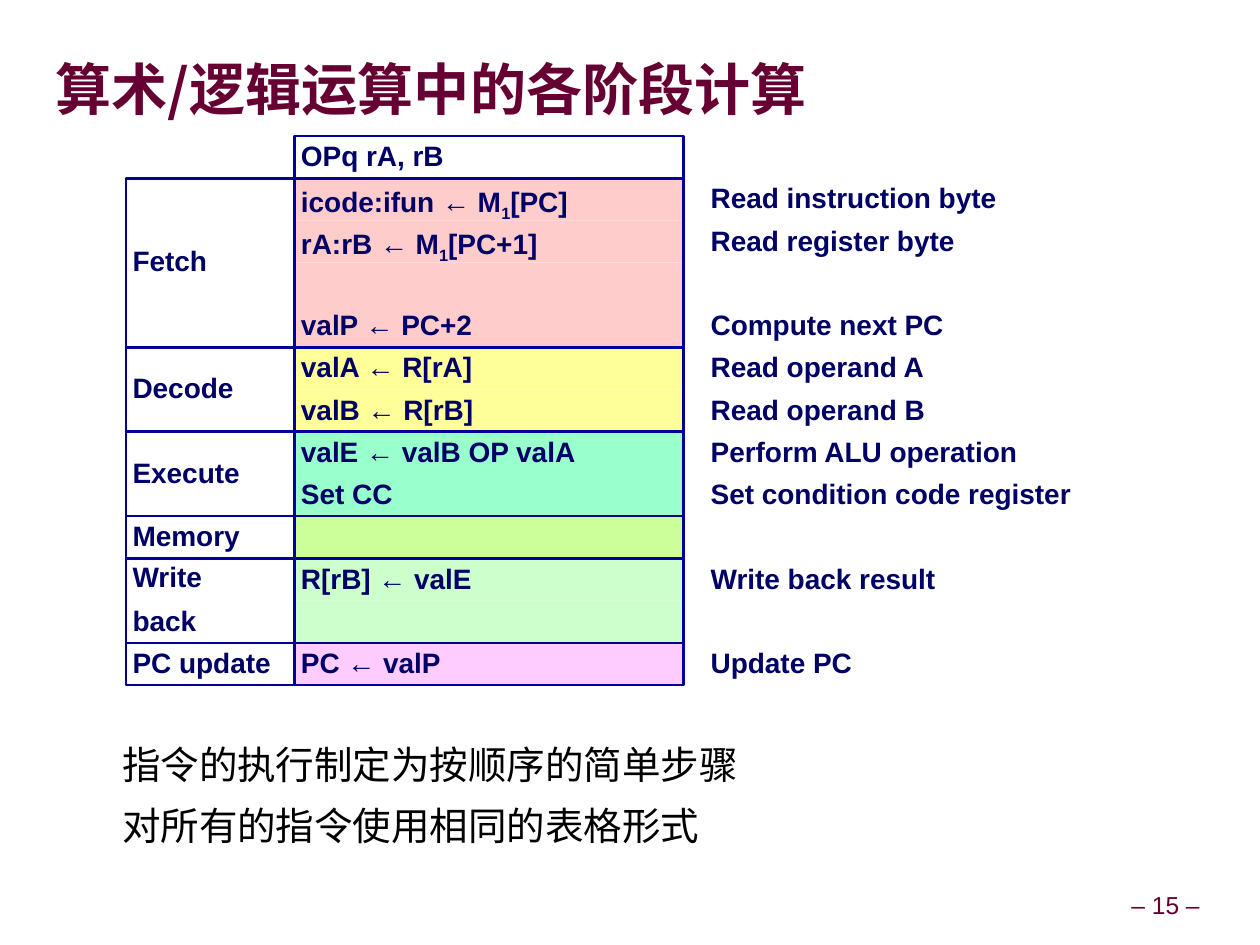
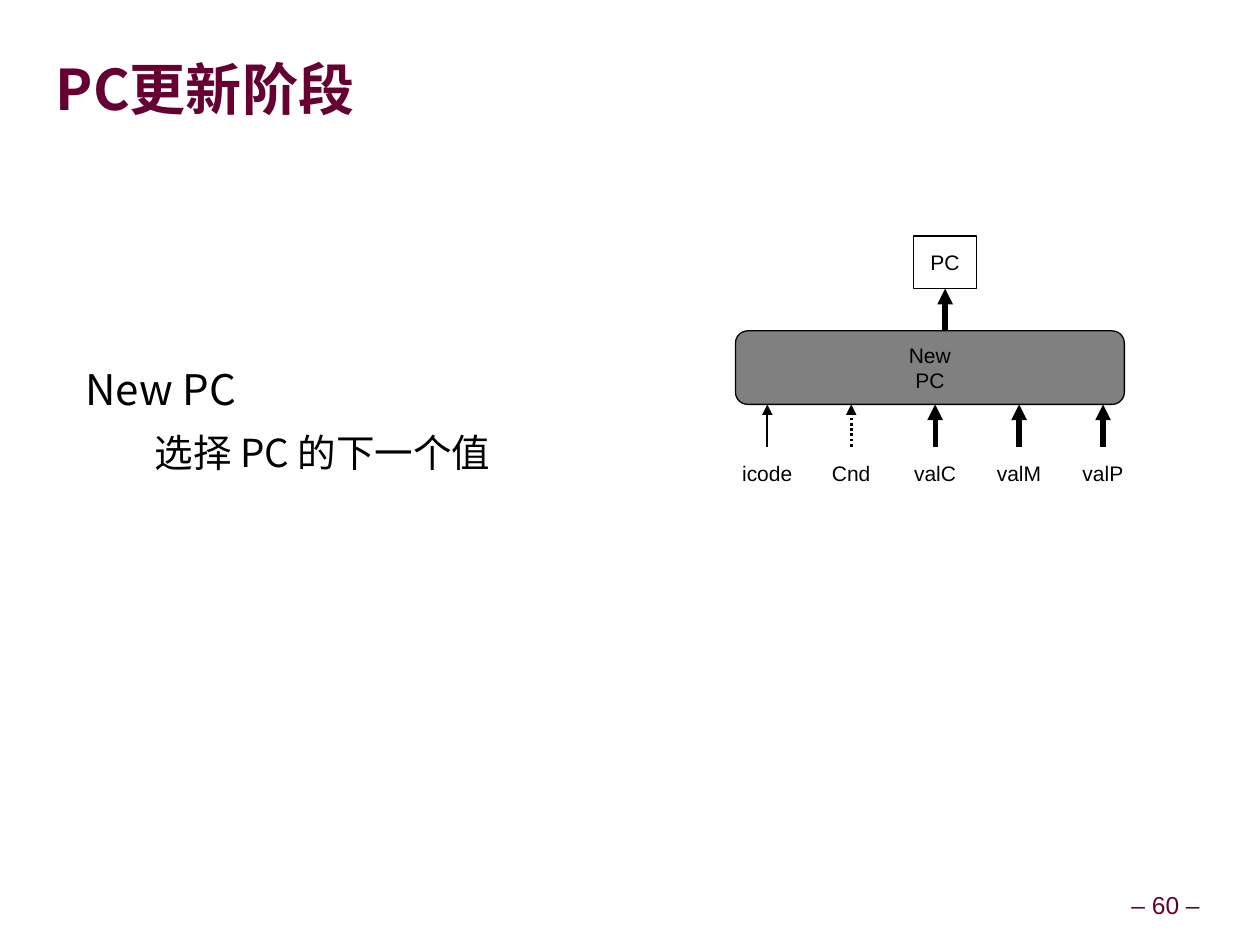
from lxml.etree import SubElement
from pptx import Presentation
from pptx.dml.color import RGBColor
from pptx.enum.dml import MSO_LINE
from pptx.enum.shapes import MSO_CONNECTOR, MSO_SHAPE
from pptx.enum.text import MSO_ANCHOR, MSO_AUTO_SIZE, PP_ALIGN
from pptx.oxml.ns import qn
from pptx.util import Cm, Pt

MAROON = RGBColor(0x66, 0x00, 0x33)
NAVY = RGBColor(0x00, 0x00, 0x66)
BLUE = RGBColor(0x00, 0x00, 0x99)
BLACK = RGBColor(0x00, 0x00, 0x00)
WHITE = RGBColor(0xFF, 0xFF, 0xFF)
GRAY = RGBColor(0x80, 0x80, 0x80)
PINK = RGBColor(0xFF, 0xCC, 0xCC)
YELLOW = RGBColor(0xFF, 0xFF, 0x99)
AQUA = RGBColor(0x99, 0xFF, 0xCC)
LIME = RGBColor(0xCC, 0xFF, 0x99)
MINT = RGBColor(0xCC, 0xFF, 0xCC)
LILAC = RGBColor(0xFF, 0xCC, 0xFF)

LATIN, CJK = "Arial", "Noto Sans CJK SC"

INSTRUCTION = "OPq rA, rB"
# Odd-numbered parts of a step are subscripts.
STAGES = [
    (["Fetch"], PINK, [
        (("icode:ifun ← M", "1", "[PC]"), "Read instruction byte"),
        (("rA:rB ← M", "1", "[PC+1]"), "Read register byte"),
        ((), ""),
        (("valP ← PC+2",), "Compute next PC")]),
    (["Decode"], YELLOW, [
        (("valA ← R[rA]",), "Read operand A"),
        (("valB ← R[rB]",), "Read operand B")]),
    (["Execute"], AQUA, [
        (("valE ← valB OP valA",), "Perform ALU operation"),
        (("Set CC",), "Set condition code register")]),
    (["Memory"], LIME, [((), "")]),
    (["Write", "back"], MINT, [
        (("R[rB] ← valE",), "Write back result"),
        ((), "")]),
    (["PC update"], LILAC, [(("PC ← valP",), "Update PC")]),
]
# Text, size, left indent in cm.
STAGE_NOTES = [("指令的执行制定为按顺序的简单步骤", 22, 1.4),
               ("对所有的指令使用相同的表格形式", 22, 1.4)]
PC_NOTES = [("New PC", 24, 0), ("选择 PC 的下一个值", 22, 1.4)]
# Signal, line width, dash.
SIGNALS = [("icode", 1, None), ("Cnd", 1.5, MSO_LINE.ROUND_DOT),
           ("valC", 3, None), ("valM", 3, None), ("valP", 3, None)]


def add_run(p, text, size, color, font=LATIN, bold=False, subscript=False):
    r = p.add_run()
    r.text = text
    r.font.size, r.font.bold, r.font.name = Pt(size), bold, font
    r.font.color.rgb = color
    rPr = r.font._element
    SubElement(rPr, qn("a:ea")).set("typeface", font)
    if subscript:
        rPr.set("baseline", "-25000")


def set_frame(tf, inset_x, inset_y, anchor=MSO_ANCHOR.TOP, wrap=True):
    tf.margin_left = tf.margin_right = Cm(inset_x)
    tf.margin_top = tf.margin_bottom = Cm(inset_y)
    tf.vertical_anchor, tf.word_wrap = anchor, wrap


def paragraphs(tf, count):
    return [tf.paragraphs[0]] + [tf.add_paragraph() for _ in range(count - 1)]


def add_box(shapes, kind, x, y, w, h, fill=None, line=None, width=1.5):
    sp = shapes.add_shape(kind, Cm(x), Cm(y), Cm(w), Cm(h))
    sp.shadow.inherit = False
    if fill is None:
        sp.fill.background()
    else:
        sp.fill.solid()
        sp.fill.fore_color.rgb = fill
    if line is None:
        sp.line.fill.background()
    else:
        sp.line.color.rgb, sp.line.width = line, Pt(width)
    return sp


def write_cell(sp, lines, anchor=MSO_ANCHOR.TOP):
    tf = sp.text_frame
    set_frame(tf, 0.13, 0.13, anchor)
    for i, (p, parts) in enumerate(zip(paragraphs(tf, len(lines)), lines)):
        p.alignment, p.line_spacing = PP_ALIGN.LEFT, 0.9
        if i:
            p.space_before = Pt(8)
        for j, part in enumerate(parts):
            add_run(p, part, 16, NAVY, bold=True, subscript=j % 2 == 1)


def write_label(sp, lines):
    tf = sp.text_frame
    set_frame(tf, 0.25, 0.13, MSO_ANCHOR.MIDDLE, False)
    for p, text in zip(paragraphs(tf, len(lines)), lines):
        p.alignment = PP_ALIGN.CENTER
        add_run(p, text, 12, BLACK)


def add_arrow(shapes, x, y1, y2, width, dash=None):
    c = shapes.add_connector(MSO_CONNECTOR.STRAIGHT, Cm(x), Cm(y1), Cm(x), Cm(y2))
    c.line.color.rgb, c.line.width = BLACK, Pt(width)
    if dash is not None:
        c.line.dash_style = dash
    spPr = c._element.spPr
    SubElement(spPr.find(qn("a:ln")), qn("a:tailEnd")).set("type", "triangle")
    SubElement(spPr, qn("a:effectLst"))


def add_notes(s, notes, x, y, w, h):
    tf = s.shapes.add_textbox(Cm(x), Cm(y), Cm(w), Cm(h)).text_frame
    set_frame(tf, 0.25, 0.13)
    for p, (text, size, indent) in zip(paragraphs(tf, len(notes)), notes):
        p.line_spacing, p.space_before = 1.2, Pt(3)
        p._p.get_or_add_pPr().set("marL", str(Cm(indent)))
        add_run(p, text, size, BLACK, CJK)


def add_page(title, number):
    s = prs.slides.add_slide(prs.slide_layouts[5])
    sp = s.shapes.title
    sp.left, sp.top, sp.width, sp.height = Cm(1.12), Cm(0.69), Cm(23.19), Cm(2.16)
    tf = sp.text_frame
    set_frame(tf, 0, 0, MSO_ANCHOR.MIDDLE)
    tf.auto_size = MSO_AUTO_SIZE.NONE
    tf.paragraphs[0].alignment = PP_ALIGN.LEFT
    add_run(tf.paragraphs[0], title, 32, MAROON, CJK, True)
    tf = s.shapes.add_textbox(Cm(22.63), Cm(17.86), Cm(1.68), Cm(0.79)).text_frame
    set_frame(tf, 0.13, 0.13, MSO_ANCHOR.MIDDLE, False)
    p = tf.paragraphs[0]
    p.alignment, p.line_spacing = PP_ALIGN.CENTER, 0.9
    add_run(p, f"– {number} –", 14, MAROON)
    return s


def build_stages(s):
    name_x, step_x, remark_x = 2.54, 5.93, 14.18
    name_w, step_w, row_h = step_x - name_x, 7.83, 0.85
    y = 2.74
    rect = MSO_SHAPE.RECTANGLE
    sp = add_box(s.shapes, rect, step_x, y, step_w, row_h, line=BLUE)
    write_cell(sp, [[INSTRUCTION]])
    y += row_h
    for name, fill, rows in STAGES:
        shapes = s.shapes.add_group_shape().shapes
        stage_h = len(rows) * row_h
        border = BLUE if len(rows) == 1 else None
        for i, (step, remark) in enumerate(rows):
            row_y = y + i * row_h
            sp = add_box(shapes, rect, step_x, row_y, step_w, row_h, fill, border)
            if step:
                write_cell(sp, [step])
            if remark:
                sp = shapes.add_textbox(Cm(remark_x), Cm(row_y), Cm(step_w), Cm(row_h))
                write_cell(sp, [[remark]])
        if border is None:
            add_box(shapes, rect, step_x, y, step_w, stage_h, line=BLUE)
        sp = add_box(shapes, rect, name_x, y, name_w, stage_h, line=BLUE)
        write_cell(sp, [[text] for text in name], MSO_ANCHOR.MIDDLE)
        y += stage_h


def build_new_pc(s):
    shapes = s.shapes.add_group_shape().shapes
    x, y, w, h = 14.81, 6.66, 7.83, 1.48
    node_w, node_h, arrow_h = 1.27, 1.06, 0.85
    first_x, pitch, pc_x = 15.45, 1.69, 19.03
    sp = add_box(shapes, MSO_SHAPE.ROUNDED_RECTANGLE, x, y, w, h, GRAY, BLACK, 0.75)
    write_label(sp, ["New", "PC"])
    signal_y = y + h + arrow_h
    for i, (signal, width, dash) in enumerate(SIGNALS):
        cx = first_x + i * pitch
        sp = add_box(shapes, MSO_SHAPE.OVAL, cx - node_w / 2, signal_y, node_w, node_h)
        write_label(sp, [signal])
        add_arrow(shapes, cx, signal_y, y + h, width, dash)
    add_arrow(shapes, pc_x, y, y - arrow_h, 3)
    sp = add_box(shapes, MSO_SHAPE.RECTANGLE, pc_x - node_w / 2,
                 y - arrow_h - node_h, node_w, node_h, WHITE, BLACK, 0.75)
    write_label(sp, ["PC"])


prs = Presentation()
prs.slide_width, prs.slide_height = Cm(25.37), Cm(19.02)

s = add_page("算术/逻辑运算中的各阶段计算", 15)
add_notes(s, STAGE_NOTES, 0.81, 14.6, 23.04, 3.25)
build_stages(s)

s = add_page("PC更新阶段", 60)
add_notes(s, PC_NOTES, 1.47, 6.99, 12.27, 3.58)
build_new_pc(s)

prs.save("out.pptx")
